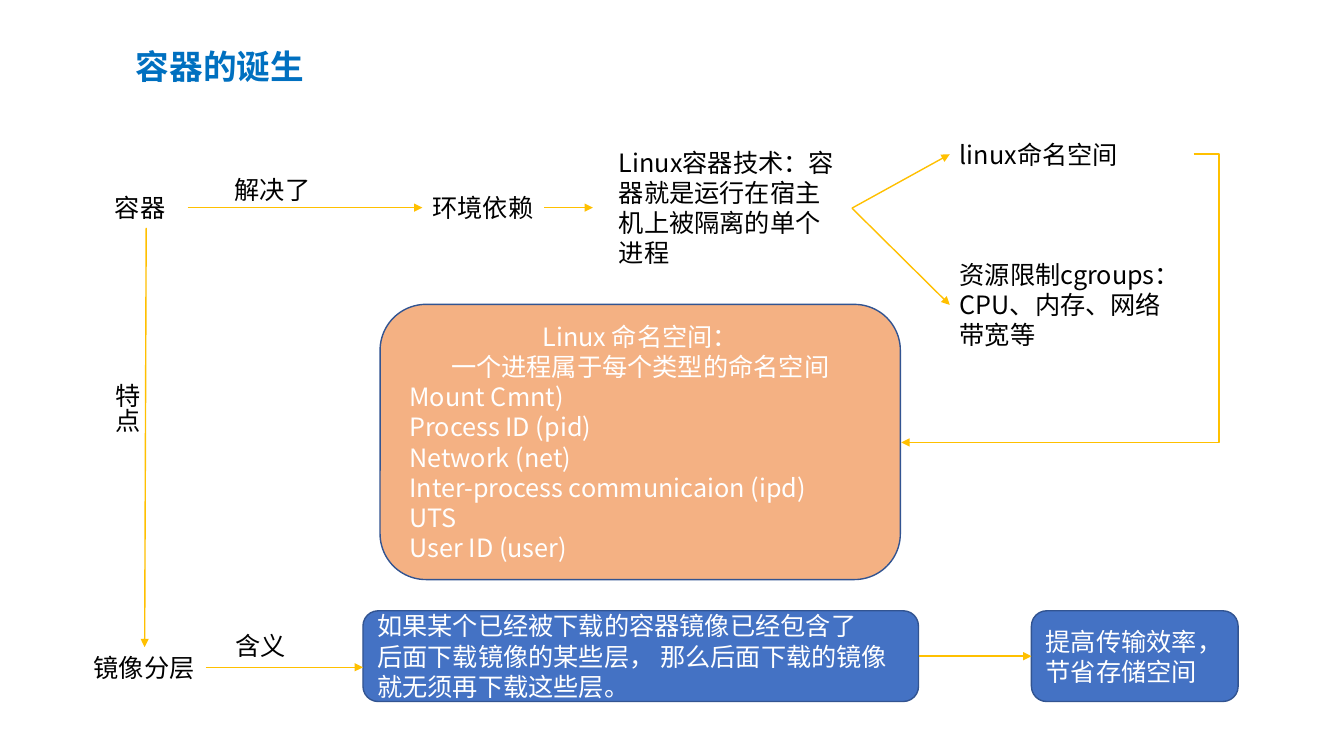
"""Build the slide on how containers came about."""
from dataclasses import dataclass

from lxml.etree import SubElement
from pptx import Presentation
from pptx.dml.color import RGBColor
from pptx.enum.shapes import MSO_CONNECTOR, MSO_SHAPE
from pptx.enum.text import MSO_ANCHOR, MSO_AUTO_SIZE, PP_ALIGN
from pptx.oxml.ns import qn
from pptx.util import Inches, Pt


@dataclass(frozen=True)
class Theme:
    font: str = "Noto Sans CJK SC"
    title: str = "0070C0"
    ink: str = "000000"
    white: str = "FFFFFF"
    arrow: str = "FFC000"
    edge: str = "325491"
    blue: str = "4472C4"
    peach: str = "F4B183"
    head: int = 24
    body: int = 18


theme = Theme()
TOP, LEFT, BOTTOM, RIGHT = range(4)


def write(frame, lines, color, size=theme.body, bold=False):
    for i, line in enumerate(lines):
        para = frame.paragraphs[0] if i == 0 else frame.add_paragraph()
        para.alignment = PP_ALIGN.LEFT
        run = para.add_run()
        run.text = line
        run.font.name = theme.font
        run.font.size = Pt(size)
        run.font.bold = bold
        run.font.color.rgb = RGBColor.from_string(color)
        SubElement(run.font._element, qn("a:ea"), typeface=theme.font)


def draw(kind, start, end):
    line = slide.shapes.add_connector(kind, *map(Inches, start + end))
    line.line.color.rgb = RGBColor.from_string(theme.arrow)
    line.line.width = Pt(1)
    SubElement(line.line._get_or_add_ln(), qn("a:tailEnd"), type="triangle")
    SubElement(line._element.spPr, qn("a:effectLst"))
    return line


deck = Presentation()
deck.slide_width, deck.slide_height = Inches(13.33), Inches(7.5)
slide = deck.slides.add_slide(deck.slide_layouts[6])

title = slide.shapes.add_textbox(*map(Inches, (1.25, 0.38, 11.48, 0.61))).text_frame
title.word_wrap = True
title.vertical_anchor = MSO_ANCHOR.MIDDLE
write(title, ["容器的诞生"], theme.title, theme.head, True)
title.paragraphs[0].line_spacing = 0.9

labels = [
    ("box", "容器", (1.04, 1.86, 0.82, 0.4), True),
    ("needs", "环境依赖", (4.19, 1.86, 1.21, 0.4), False),
    ("layers", "镜像分层", (0.83, 6.42, 1.21, 0.4), False),
    ("tech", "Linux容器技术：容器就是运行在宿主机上被隔离的单个进程", (6.04, 1.41, 2.41, 1.31), True),
    ("limits", "资源限制cgroups：CPU、内存、网络带宽等", (9.42, 2.52, 2.41, 1.01), True),
    ("space", "linux命名空间", (9.42, 1.33, 2.41, 0.4), True),
    ("solves", "解决了", (2.23, 1.68, 1.09, 0.4), True),
    ("traits", "特点", (0.96, 3.7, 0.5, 0.94), True),
    ("means", "含义", (2.24, 6.2, 0.96, 0.4), True),
]
nodes = {}
for name, text, place, wrap in labels:
    nodes[name] = slide.shapes.add_textbox(*map(Inches, place))
    frame = nodes[name].text_frame
    frame.word_wrap = wrap
    frame.auto_size = MSO_AUTO_SIZE.SHAPE_TO_FIT_TEXT
    write(frame, [text], theme.ink)
nodes["traits"].text_frame._txBody.bodyPr.set("vert", "eaVert")

kinds = [
    "Mount Cmnt)",
    "Process ID (pid)",
    "Network (net)",
    "Inter-process communicaion (ipd)",
    "UTS",
    "User ID (user)",
]
cards = [
    ("names", ["Linux 命名空间：", "一个进程属于每个类型的命名空间"] + kinds,
     (3.77, 3.02, 5.16, 2.73), theme.peach),
    ("reuse", ["如果某个已经被下载的容器镜像已经包含了",
               "后面下载镜像的某些层， 那么后面下载的镜像就无须再下载这些层。"],
     (3.6, 6.06, 5.51, 0.9), theme.blue),
    ("gain", ["提高传输效率，节省存储空间"], (10.23, 6.06, 2.05, 0.9), theme.blue),
]
for name, lines, place, fill in cards:
    card = slide.shapes.add_shape(MSO_SHAPE.ROUNDED_RECTANGLE, *map(Inches, place))
    card.shadow.inherit = False
    card.fill.solid()
    card.fill.fore_color.rgb = RGBColor.from_string(fill)
    card.line.color.rgb = RGBColor.from_string(theme.edge)
    card.line.width = Pt(1)
    card.text_frame.word_wrap = True
    card.text_frame.vertical_anchor = MSO_ANCHOR.MIDDLE
    write(card.text_frame, lines, theme.white)
    nodes[name] = card

paras = nodes["names"].text_frame.paragraphs
for para in paras[:2]:
    para.alignment = PP_ALIGN.CENTER
for para in paras[2:]:
    para._p.get_or_add_pPr().set("marL", str(Inches(0.06)))

links = [
    ("box", RIGHT, (1.86, 2.06), "needs", LEFT, (4.19, 2.06)),
    ("needs", RIGHT, (5.4, 2.06), None, None, (5.88, 2.06)),
    ("tech", RIGHT, (8.45, 2.06), "space", LEFT, (9.42, 1.53)),
    ("tech", RIGHT, (8.45, 2.06), "limits", LEFT, (9.42, 3.02)),
    ("box", BOTTOM, (1.45, 2.26), "layers", TOP, (1.43, 6.42)),
    ("layers", RIGHT, (2.04, 6.62), None, None, (3.6, 6.62)),
    ("reuse", RIGHT, (9.11, 6.51), "gain", LEFT, (10.23, 6.51)),
]
for source, out, start, target, into, end in links:
    link = draw(MSO_CONNECTOR.STRAIGHT, start, end)
    link.begin_connect(nodes[source], out)
    if target:
        link.end_connect(nodes[target], into)

bend = draw(MSO_CONNECTOR.ELBOW, (11.84, 1.53), (8.94, 4.39))
guides = bend._element.spPr.find(qn("a:prstGeom")).find(qn("a:avLst"))
SubElement(guides, qn("a:gd"), name="adj1", fmla="val -8600")

deck.save("out.pptx")
